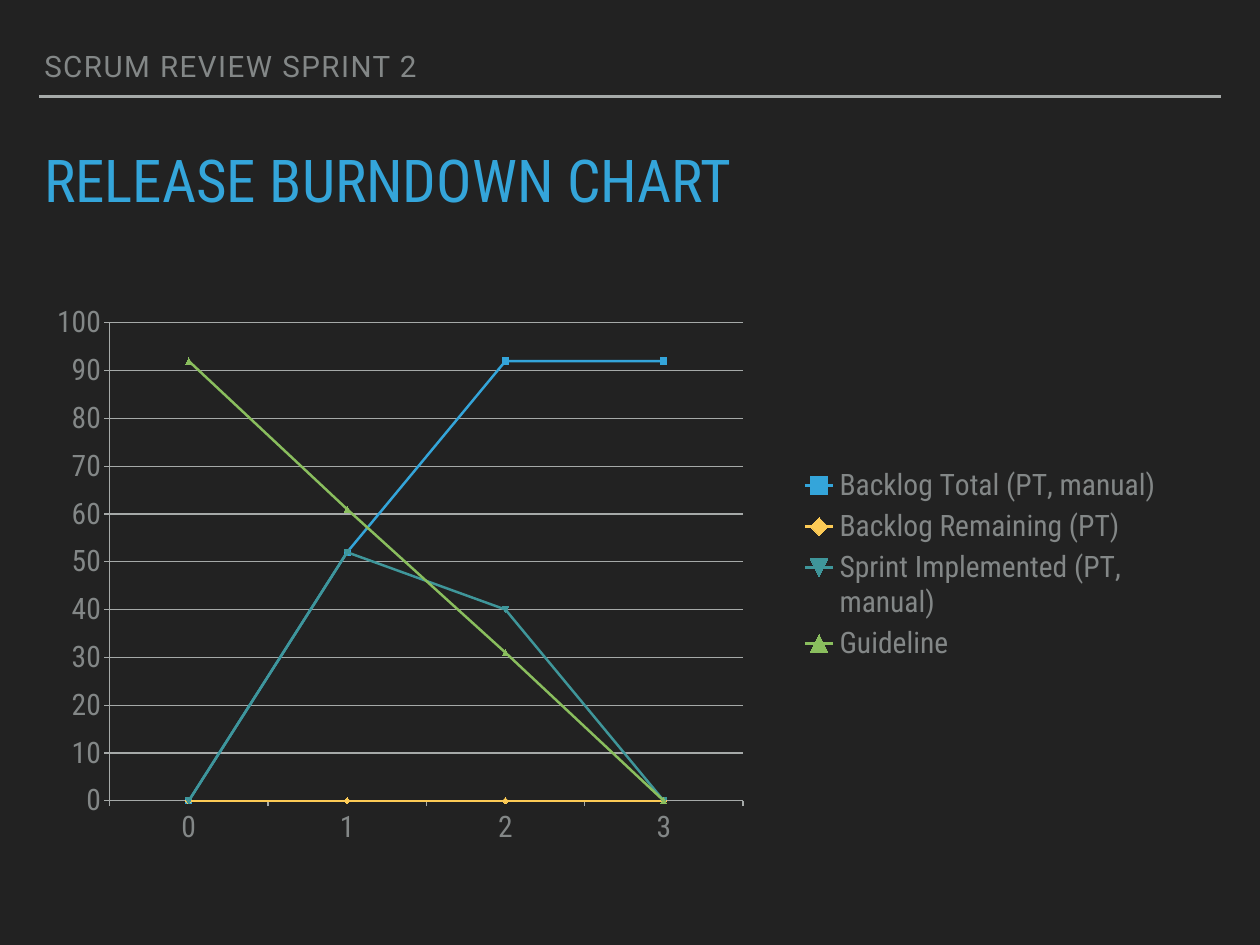
"""Build the release burndown slide of a sprint review."""
from lxml import etree
from pptx import Presentation
from pptx.chart.data import CategoryChartData
from pptx.dml.color import RGBColor
from pptx.enum.chart import XL_CHART_TYPE, XL_LEGEND_POSITION, XL_TICK_MARK
from pptx.enum.shapes import MSO_CONNECTOR
from pptx.enum.text import MSO_ANCHOR, MSO_AUTO_SIZE, PP_ALIGN
from pptx.oxml import parse_xml
from pptx.oxml.ns import nsdecls, qn
from pptx.util import Pt

LINE_MARKERS = XL_CHART_TYPE.LINE_MARKERS
LEGEND_RIGHT = XL_LEGEND_POSITION.RIGHT
TICK_OUT, TICK_NONE = XL_TICK_MARK.OUTSIDE, XL_TICK_MARK.NONE
STRAIGHT = MSO_CONNECTOR.STRAIGHT
TOP, BOTTOM = MSO_ANCHOR.TOP, MSO_ANCHOR.BOTTOM
NO_AUTOFIT = MSO_AUTO_SIZE.NONE
LEFT = PP_ALIGN.LEFT

EMU_PER_PX = 10160
WIDTH, HEIGHT = 1280, 960
MARGIN = 40
INSET = 5
BACKGROUND, RULE, GREY, BLUE = "222222", "A6AAA9", "838787", "34A5DA"
CONDENSED = "Roboto Condensed"

SPRINTS = ["0", "1", "2", "3"]
SERIES = [
    ("Backlog Total (PT, manual)", (0, 52, 92, 92), BLUE),
    ("Backlog Remaining (PT)", (0, 0, 0, 0), "FDCB56"),
    ("Sprint Implemented (PT, manual)", (0, 52, 40, 0), "3F969A"),
    ("Guideline", (92, 61, 31, 0), "8ABE5E"),
]
PLOT_AREA = {"x": 0.062, "y": 0.067, "w": 0.559, "h": 0.856}


def px(n):
    """Turn pixels into EMU."""
    return n * EMU_PER_PX


def rgb(color):
    """Turn a hex string into a colour."""
    return RGBColor.from_string(color)


def style_font(font, size, color, name):
    """Set size, colour and typeface of a font."""
    font.size = Pt(size)
    font.color.rgb = rgb(color)
    font.name = name
    font.bold = False


def style_line(line, color, width):
    """Set colour and width of a line."""
    line.color.rgb = rgb(color)
    line.width = Pt(width)


def place(sp, x, y, w, h):
    """Move and size a shape."""
    sp.left, sp.top, sp.width, sp.height = px(x), px(y), px(w), px(h)


def write(sp, text, *, size, color, font, anchor=TOP, spacing=0):
    """Write one line of formatted text into a shape."""
    tf = sp.text_frame
    tf.word_wrap = True
    tf.auto_size = NO_AUTOFIT
    tf.vertical_anchor = anchor
    tf.margin_left = tf.margin_right = px(INSET)
    tf.margin_top = tf.margin_bottom = px(INSET)
    p = tf.paragraphs[0]
    p.alignment = LEFT
    p.line_spacing = 0.8
    p.space_before = Pt(0)
    r = p.add_run()
    r.text = text
    style_font(r.font, size, color, font)
    if spacing:
        r.font._element.set("spc", str(spacing))


def add_rule(slide, x1, x2, y):
    """Draw a horizontal rule without a shadow."""
    line = slide.shapes.add_connector(STRAIGHT, px(x1), px(y), px(x2), px(y))
    style_line(line.line, RULE, 2)
    etree.SubElement(line._element.spPr, qn("a:effectLst"))


def fix_plot_area(chart):
    """Give the inner plot area a fixed place in the chart."""
    plot_area = chart._chartSpace.chart.plotArea
    for old in plot_area.findall(qn("c:layout")):
        plot_area.remove(old)
    modes = "".join(f'<c:{k}Mode val="edge"/>' for k in "xy")
    sizes = "".join(f'<c:{k} val="{v}"/>' for k, v in PLOT_AREA.items())
    plot_area.insert(0, parse_xml(
        f'<c:layout {nsdecls("c")}><c:manualLayout>'
        f'<c:layoutTarget val="inner"/>{modes}{sizes}'
        '</c:manualLayout></c:layout>'))


def style_axis(axis):
    """Give an axis a thin line and outside ticks."""
    axis.major_tick_mark = TICK_OUT
    axis.minor_tick_mark = TICK_NONE
    style_line(axis.format.line, RULE, 1)


def add_burndown(slide, x, y, w, h):
    """Add the burndown line chart with its legend."""
    data = CategoryChartData(number_format="0")
    data.categories = SPRINTS
    for name, values, _ in SERIES:
        data.add_series(name, values)
    chart = slide.shapes.add_chart(
        LINE_MARKERS, px(x), px(y), px(w), px(h), data).chart
    style_font(chart.font, 24, GREY, CONDENSED)
    chart.has_title = False
    chart.has_legend = True
    chart.legend.position = LEGEND_RIGHT
    chart.legend.include_in_layout = False
    style_font(chart.legend.font, 24, GREY, CONDENSED)
    style_axis(chart.category_axis)
    axis = chart.value_axis
    style_axis(axis)
    axis.minimum_scale, axis.maximum_scale, axis.major_unit = 0, 100, 10
    axis.has_major_gridlines = True
    style_line(axis.major_gridlines.format.line, RULE, 1)
    plot = chart.plots[0]
    plot.vary_by_categories = False
    for series, (_, _, color) in zip(plot.series, SERIES):
        series.smooth = False
        style_line(series.format.line, color, 2)
        series.marker.size = 5
        fill = series.marker.format.fill
        fill.solid()
        fill.fore_color.rgb = rgb(color)
        style_line(series.marker.format.line, color, 1)
    fix_plot_area(chart)


def main():
    """Build and save the slide."""
    prs = Presentation()
    prs.slide_width, prs.slide_height = px(WIDTH), px(HEIGHT)
    slide = prs.slides.add_slide(prs.slide_layouts[5])
    fill = slide.background.fill
    fill.solid()
    fill.fore_color.rgb = rgb(BACKGROUND)
    add_rule(slide, MARGIN, WIDTH - MARGIN, 98)
    header = slide.shapes.add_textbox(px(MARGIN), px(50), px(1100), px(40))
    write(header, "SCRUM REVIEW SPRINT 2", size=24, color=GREY,
          font="Roboto", anchor=BOTTOM, spacing=120)
    title = slide.shapes.title
    place(title, MARGIN, 155, 1200, 71)
    write(title, "RELEASE BURNDOWN CHART", size=48, color=BLUE, font=CONDENSED)
    add_burndown(slide, MARGIN, 290, 1151, 568)
    prs.save("out.pptx")


if __name__ == "__main__":
    main()
